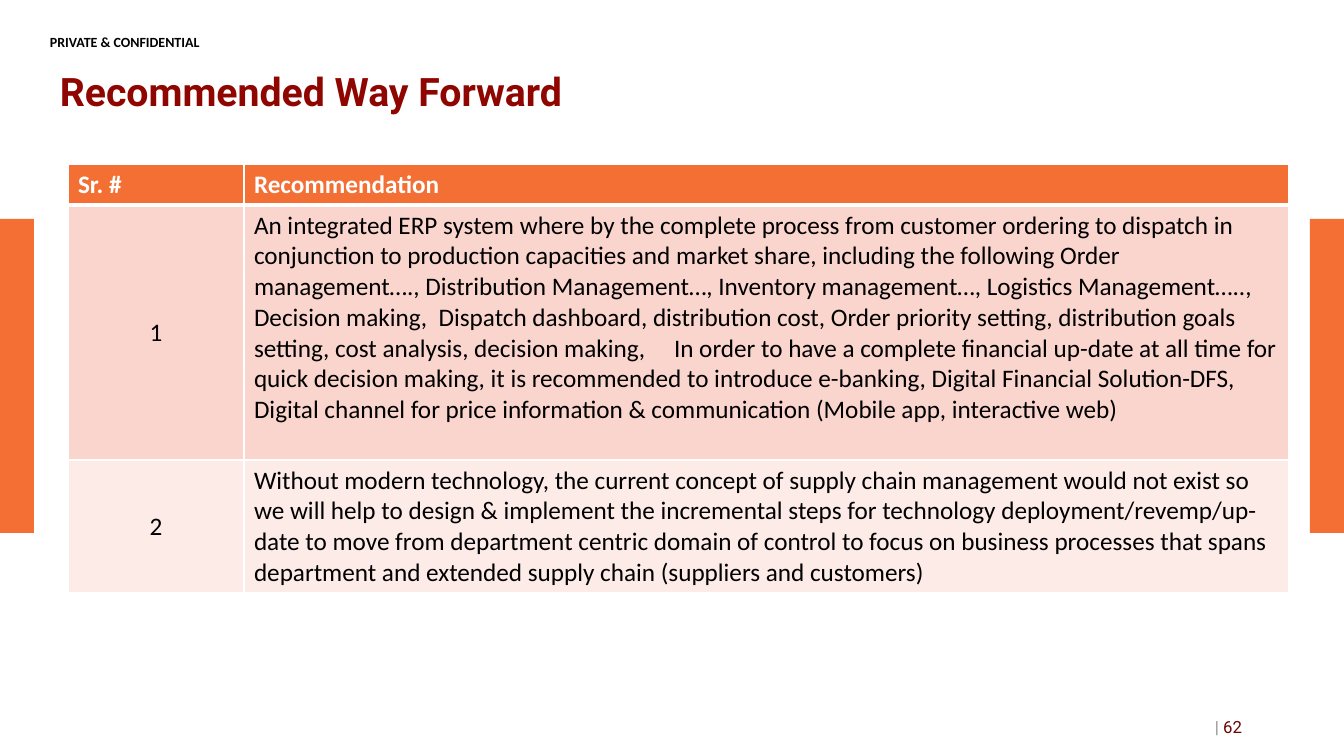
from dataclasses import dataclass

from lxml.etree import SubElement
from pptx import Presentation
from pptx.dml.color import RGBColor
from pptx.enum.shapes import MSO_SHAPE
from pptx.enum.text import MSO_ANCHOR, PP_ALIGN
from pptx.oxml.ns import qn
from pptx.util import Emu, Pt

EMU_PER_PX = 914400 / 100.8
ORANGE, WHITE, BLACK, MAROON = "F46F33", "FFFFFF", "000000", "8F0500"


@dataclass(frozen=True)
class Box:
    left: int
    top: int
    width: int
    height: int


@dataclass(frozen=True)
class Row:
    number: str
    recommendation: str
    height: int
    fill: str
    color: str = BLACK
    bold: bool = False
    number_align: PP_ALIGN = PP_ALIGN.CENTER
    anchor: MSO_ANCHOR = MSO_ANCHOR.MIDDLE
    tab: int | None = None


SIDE_BARS = [Box(0, 219, 34, 314), Box(1310, 219, 34, 314)]
TABLE = Box(68, 164, 1221, 429)
COLUMN_WIDTHS = [176, 1045]
ROWS = [
    Row("Sr. #", "Recommendation", 41, "F36F33", WHITE, True,
        PP_ALIGN.LEFT, MSO_ANCHOR.TOP),
    Row("1",
        "An integrated ERP system where by the complete process from customer "
        "ordering to dispatch in conjunction to production capacities and market "
        "share, including the following Order management…., Distribution "
        "Management…, Inventory management…, Logistics Management….., Decision "
        "making,  Dispatch dashboard, distribution cost, Order priority setting, "
        "distribution goals setting, cost analysis, decision making,\tIn order to "
        "have a complete financial up-date at all time for quick decision making, "
        "it is recommended to introduce e-banking, Digital Financial Solution-DFS, "
        "Digital channel for price information & communication (Mobile app, "
        "interactive web)",
        255, "FAD5CE", anchor=MSO_ANCHOR.TOP, tab=420),
    Row("2",
        "Without modern technology, the current concept of supply chain management "
        "would not exist so we will help to design & implement the incremental "
        "steps for technology deployment/revemp/up-date to move from department "
        "centric domain of control to focus on business processes that spans "
        "department and extended supply chain (suppliers and customers)",
        133, "FDEBE8"),
]


def px(length: int) -> Emu:
    return Emu(round(length * EMU_PER_PX))


def rgb(color: str) -> RGBColor:
    return RGBColor.from_string(color)


def place(box: Box) -> tuple[Emu, Emu, Emu, Emu]:
    return px(box.left), px(box.top), px(box.width), px(box.height)


def write(paragraph, text: str, *, size: int = 18, font: str = "Calibri",
          color: str = BLACK, bold: bool = False,
          align: PP_ALIGN = PP_ALIGN.LEFT, tab: int | None = None) -> None:
    """Append one formatted run, with an optional tab stop in px."""
    paragraph.alignment = align
    if tab is not None:
        stops = SubElement(paragraph._p.get_or_add_pPr(), qn("a:tabLst"))
        SubElement(stops, qn("a:tab"), pos=str(px(tab)), algn="l")
    run = paragraph.add_run()
    run.text = text
    run.font.size = Pt(size)
    run.font.name = font
    run.font.bold = bold
    run.font.color.rgb = rgb(color)


def add_text_box(slide, box: Box, anchor: MSO_ANCHOR = MSO_ANCHOR.MIDDLE):
    frame = slide.shapes.add_textbox(*place(box)).text_frame
    frame.word_wrap = True
    frame.vertical_anchor = anchor
    return frame


def add_side_bar(slide, box: Box) -> None:
    bar = slide.shapes.add_shape(MSO_SHAPE.RECTANGLE, *place(box))
    bar.shadow.inherit = False
    bar.fill.solid()
    bar.fill.fore_color.rgb = rgb(ORANGE)
    bar.line.fill.background()


def add_borders(cell, top: int, bottom: int) -> None:
    """Draw white cell borders; top and bottom widths are in points."""
    properties = cell._tc.get_or_add_tcPr()
    for side, width in {"L": 1, "R": 1, "T": top, "B": bottom}.items():
        line = SubElement(properties, qn(f"a:ln{side}"), w=str(Pt(width)))
        fill = SubElement(line, qn("a:solidFill"))
        SubElement(fill, qn("a:srgbClr"), val=WHITE)


def add_recommendations(slide) -> None:
    table = slide.shapes.add_table(
        len(ROWS), len(COLUMN_WIDTHS), *place(TABLE)).table
    table.horz_banding = False
    for column, width in zip(table.columns, COLUMN_WIDTHS):
        column.width = px(width)
    for index, row in enumerate(ROWS):
        table.rows[index].height = px(row.height)
        number, recommendation = table.rows[index].cells
        for cell in (number, recommendation):
            add_borders(cell, top=3 if index == 1 else 1,
                        bottom=3 if index == 0 else 1)
            cell.fill.solid()
            cell.fill.fore_color.rgb = rgb(row.fill)
        number.vertical_anchor = MSO_ANCHOR.MIDDLE
        recommendation.vertical_anchor = row.anchor
        write(number.text_frame.paragraphs[0], row.number, color=row.color,
              bold=row.bold, align=row.number_align)
        write(recommendation.text_frame.paragraphs[0], row.recommendation,
              color=row.color, bold=row.bold, tab=row.tab)


def main() -> None:
    presentation = Presentation()
    presentation.slide_width, presentation.slide_height = px(1344), px(756)
    slide = presentation.slides.add_slide(presentation.slide_layouts[6])

    for bar in SIDE_BARS:
        add_side_bar(slide, bar)

    notice = add_text_box(slide, Box(50, 34, 255, 12), MSO_ANCHOR.TOP)
    notice.margin_left = notice.margin_right = 0
    notice.margin_top = notice.margin_bottom = 0
    write(notice.paragraphs[0], "PRIVATE & CONFIDENTIAL", size=10, bold=True)

    title = add_text_box(slide, Box(50, 58, 1096, 72)).paragraphs[0]
    title.line_spacing = 0.9
    write(title, "Recommended Way Forward", size=28, font="Roboto",
          color=MAROON, bold=True)

    page_number = add_text_box(slide, Box(950, 707, 302, 40)).paragraphs[0]
    for text, color in [("| ", "8C8C8C"), ("62", "6A0500")]:
        write(page_number, text, size=12, font="Roboto", color=color,
              align=PP_ALIGN.RIGHT)

    add_recommendations(slide)
    presentation.save("out.pptx")


if __name__ == "__main__":
    main()
